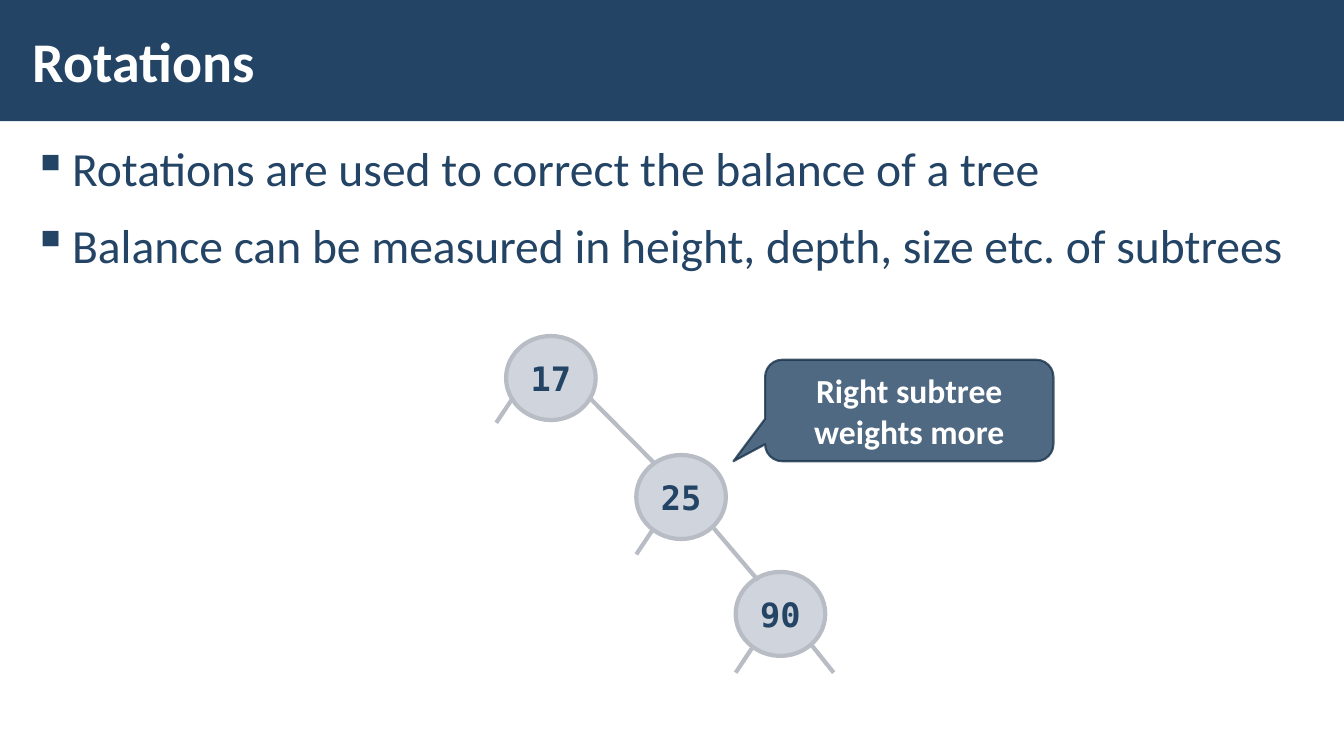
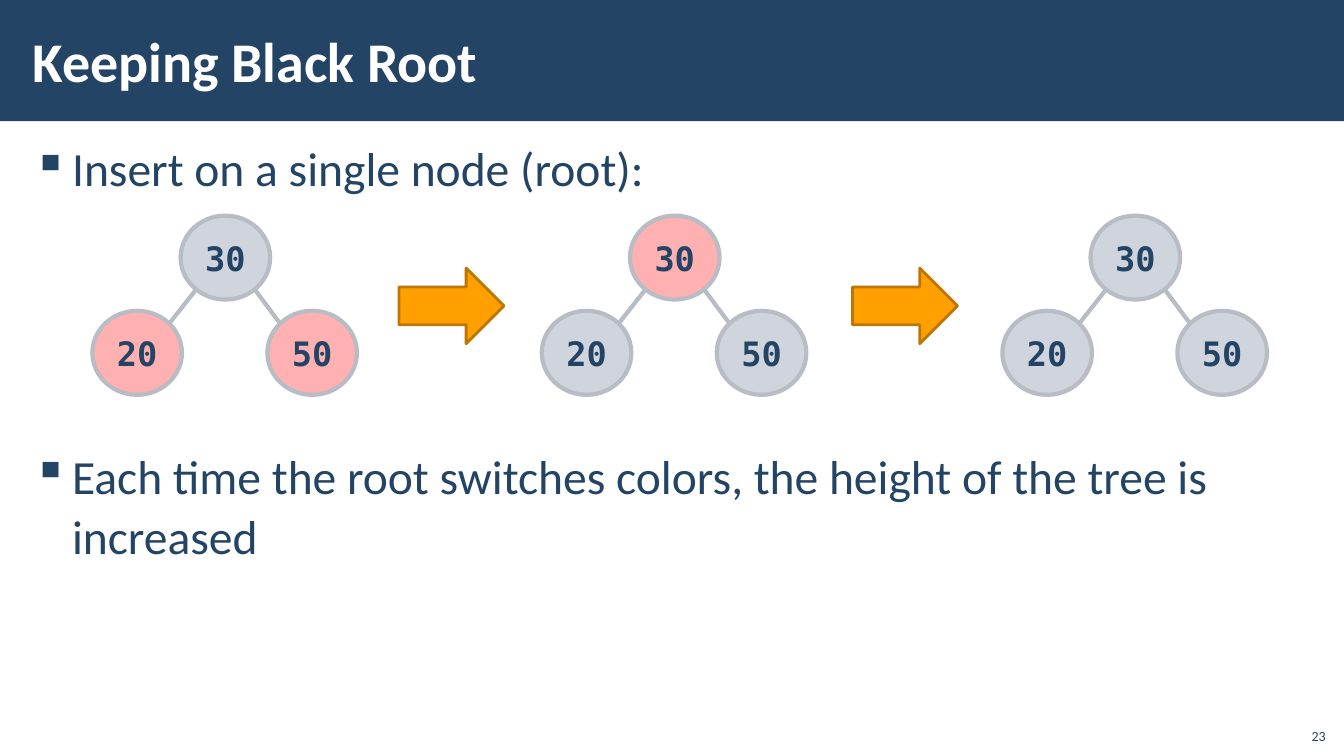
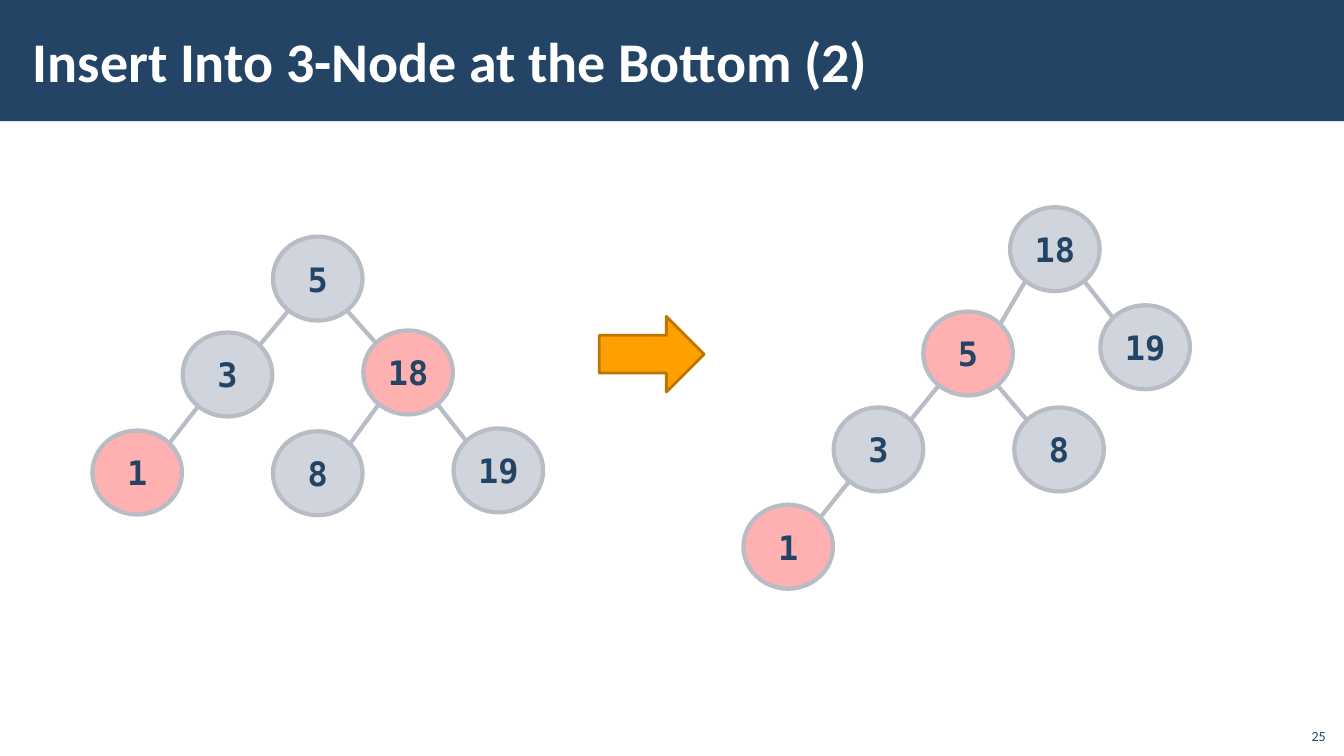
from lxml import etree
from pptx import Presentation
from pptx.dml.color import RGBColor
from pptx.enum.shapes import MSO_CONNECTOR, MSO_SHAPE
from pptx.enum.text import MSO_ANCHOR, PP_ALIGN
from pptx.oxml.ns import qn
from pptx.util import Pt

STRAIGHT = MSO_CONNECTOR.STRAIGHT
RECTANGLE = MSO_SHAPE.RECTANGLE
OVAL = MSO_SHAPE.OVAL
RIGHT_ARROW = MSO_SHAPE.RIGHT_ARROW
CALLOUT = MSO_SHAPE.ROUNDED_RECTANGULAR_CALLOUT
TOP, MIDDLE, BOTTOM = MSO_ANCHOR.TOP, MSO_ANCHOR.MIDDLE, MSO_ANCHOR.BOTTOM
LEFT, CENTER, RIGHT = PP_ALIGN.LEFT, PP_ALIGN.CENTER, PP_ALIGN.RIGHT

PAGE_WIDTH, PAGE_HEIGHT = 960, 540
NAVY, WHITE = "234465", "FFFFFF"
NODE_FILL, NODE_LINE, RED_FILL = "A3ABBC", "B8BCC4", "FFB0B0"
ARROW_FILL, ARROW_LINE = "FFA000", "BD7600"
CALLOUT_LINE = "1A334C"

TITLE_FONT = {"name": "Calibri", "size": Pt(40), "bold": True, "color": WHITE}
BODY_FONT = {"name": "Calibri", "size": Pt(34), "color": NAVY}
NUMBER_FONT = {"name": "Calibri", "size": Pt(10), "color": NAVY}
NODE_FONT = {"name": "DejaVu Sans Mono", "size": Pt(24), "bold": True, "color": NAVY}
CALLOUT_FONT = {"name": "Calibri", "size": Pt(24), "bold": True, "color": WHITE}

TITLE_BOX = (15, 8, 765, 70)
BODY_BOX = (15, 94.5, 930, 435.5)
NUMBER_BOX = (925, 512.5, 29, 23)
WIDE_INSETS = (8.5, 3)
BULLET_INDENT = 28

NODE_WIDTH, NODE_HEIGHT = 64, 60
ARROW_WIDTH, ARROW_HEIGHT = 75, 54
# Where an edge leaves its parent and meets its child, from the node centres
EDGE_START, EDGE_END = (21.5, 23.5), (23, -21)


def rgb(color):
    return RGBColor.from_string(color)


def set_alpha(color_format_parent, percent):
    """Make the solid colour under an XML element partly transparent."""
    color = color_format_parent.find(qn("a:solidFill")).find(qn("a:srgbClr"))
    etree.SubElement(color, qn("a:alpha"), val=str(percent * 1000))


def set_font(font, style):
    for key, value in style.items():
        if key == "color":
            font.color.rgb = rgb(value)
        else:
            setattr(font, key, value)


def set_frame(shape, anchor, wrap=True, insets=None):
    frame = shape.text_frame
    frame.vertical_anchor, frame.word_wrap = anchor, wrap
    if insets:
        frame.margin_left = frame.margin_right = Pt(insets[0])
        frame.margin_top = frame.margin_bottom = Pt(insets[1])
    return frame


def write(frame, text, style, align):
    para = frame.paragraphs[0]
    para.alignment = align
    span = para.add_run()
    span.text = text
    set_font(span.font, style)


def add_text(page, box, text, style, anchor, align, insets=None):
    shape = page.shapes.add_textbox(*map(Pt, box))
    write(set_frame(shape, anchor, insets=insets), text, style, align)


def add_figure(page, kind, box, fill, line=None, width=0, alpha=None):
    """Add a preset shape with a plain fill and outline and no shadow."""
    shape = page.shapes.add_shape(kind, *map(Pt, box))
    shape.shadow.inherit = False
    shape.fill.solid()
    shape.fill.fore_color.rgb = rgb(fill)
    if alpha:
        set_alpha(shape.element.spPr, alpha)
    if line:
        shape.line.color.rgb = rgb(line)
        shape.line.width = Pt(width)
    else:
        shape.line.fill.background()
    return shape


def add_page(deck, title, number=None):
    page = deck.slides.add_slide(deck.slide_layouts[6])
    add_figure(page, RECTANGLE, (0, 0, PAGE_WIDTH, 86.5), NAVY)
    add_text(page, TITLE_BOX, title, TITLE_FONT, MIDDLE, LEFT, WIDE_INSETS)
    if number:
        add_text(page, NUMBER_BOX, number, NUMBER_FONT, BOTTOM, RIGHT)
    return page


def add_bullets(page, box, texts, gap=6):
    """Write bulleted paragraphs with a gap before each one but the first."""
    frame = set_frame(page.shapes.add_textbox(*map(Pt, box)), TOP, insets=WIDE_INSETS)
    for index, text in enumerate(texts):
        para = frame.add_paragraph() if index else frame.paragraphs[0]
        properties = para._p.get_or_add_pPr()
        properties.set("marL", str(Pt(BULLET_INDENT)))
        properties.set("indent", str(-Pt(BULLET_INDENT)))
        etree.SubElement(properties, qn("a:buChar"), char="▪")
        para.line_spacing = 1.05
        para.space_before = Pt(gap if index else 0)
        para.space_after = Pt(6)
        set_font(para.font, BODY_FONT)
        span = para.add_run()
        span.text = text
        set_font(span.font, BODY_FONT)


def add_line(page, start, end):
    line = page.shapes.add_connector(STRAIGHT, *map(Pt, (*start, *end)))
    line.line.color.rgb = rgb(NODE_LINE)
    line.line.width = Pt(3)
    etree.SubElement(line.element.spPr, qn("a:effectLst"))


def add_node(page, left, top, label, red):
    node = add_figure(page, OVAL, (left, top, NODE_WIDTH, NODE_HEIGHT),
                      RED_FILL if red else NODE_FILL, NODE_LINE, 3,
                      None if red else 50)
    write(set_frame(node, MIDDLE, wrap=False), label, NODE_FONT, CENTER)


def shift(point, offset):
    return point[0] + offset[0], point[1] + offset[1]


def add_tree(page, origin, nodes, edges, reds=(), stubs=()):
    """Draw a tree at origin.

    nodes: label -> left, top; edges: parent, child and optional end offsets;
    stubs: node, start offset and run of a line that leads to no child.
    """
    places = {label: shift(origin, place) for label, place in nodes.items()}
    centers = {label: shift(place, (NODE_WIDTH / 2, NODE_HEIGHT / 2))
               for label, place in places.items()}
    for parent, child, *offsets in edges:
        side = 1 if centers[child][0] > centers[parent][0] else -1
        start, end = offsets or ((side * EDGE_START[0], EDGE_START[1]),
                                 (-side * EDGE_END[0], EDGE_END[1]))
        add_line(page, shift(centers[parent], start), shift(centers[child], end))
    for label, offset, run in stubs:
        start = shift(centers[label], offset)
        add_line(page, start, shift(start, run))
    for label, place in places.items():
        add_node(page, *place, label, label in reds)


def add_arrow(page, left, top):
    add_figure(page, RIGHT_ARROW, (left, top, ARROW_WIDTH, ARROW_HEIGHT),
               ARROW_FILL, ARROW_LINE, 2)


def add_callout(page, box, text):
    callout = add_figure(page, CALLOUT, box, NAVY, CALLOUT_LINE, 1.5, 80)
    set_alpha(callout.line._ln, 80)
    for index, value in enumerate((-0.61, 0.5, 0.17)):
        callout.adjustments[index] = value
    write(set_frame(callout, MIDDLE), text, CALLOUT_FONT, CENTER)


def build_rotations(deck):
    page = add_page(deck, "Rotations")
    add_bullets(page, BODY_BOX, [
        "Rotations are used to correct the balance of a tree",
        "Balance can be measured in height, depth, size etc. of subtrees",
    ])
    add_tree(
        page, (361.5, 240),
        {"17": (0, 0), "25": (93, 85), "90": (164, 168.5)},
        [("17", "25", (28.5, 15), (-18.5, -23.5)),
         ("25", "90", (23.5, 22.5), (-16, -24))],
        stubs=[("17", (-27, 14), (-12, 18)), ("25", (-20, 23), (-12, 18)),
               ("90", (-20, 24), (-12, 18)), ("90", (22, 22), (16, 20))],
    )
    add_callout(page, (546.5, 257, 206, 72.5), "Right subtree weights more")


def build_black_root(deck):
    page = add_page(deck, "Keeping Black Root", "23")
    add_bullets(page, BODY_BOX, [
        "Insert on a single node (root):",
        "Each time the root switches colors, the height of the tree is increased",
    ], gap=171)
    nodes = {"30": (63, 0), "20": (0, 68), "50": (125, 68)}
    edges = [("30", "20"), ("30", "50")]
    for left, reds in ((66, ("20", "50")), (387, ("30",)), (716, ())):
        add_tree(page, (left, 154), nodes, edges, reds)
    for left in (285, 609):
        add_arrow(page, left, 191.5)


def build_bottom_insert(deck):
    page = add_page(deck, "Insert Into 3-Node at the Bottom (2)", "25")
    add_tree(
        page, (66, 169),
        {"5": (129, 0), "3": (64.5, 68.5), "18": (193.5, 67),
         "1": (0, 138.5), "8": (129, 139), "19": (258, 137)},
        [("5", "3"), ("5", "18"), ("3", "1"), ("18", "8"), ("18", "19")],
        ("1", "18"),
    )
    add_arrow(page, 428, 226)
    add_tree(
        page, (531, 148),
        {"18": (190.5, 0), "5": (128.5, 74.5), "19": (255, 70),
         "3": (64.5, 143), "8": (193.5, 143), "1": (0, 212.5)},
        [("18", "5"), ("18", "19"), ("5", "3"), ("5", "8"), ("3", "1")],
        ("1", "5"),
    )


def main():
    deck = Presentation()
    deck.slide_width, deck.slide_height = Pt(PAGE_WIDTH), Pt(PAGE_HEIGHT)
    for build in (build_rotations, build_black_root, build_bottom_insert):
        build(deck)
    deck.save("out.pptx")


if __name__ == "__main__":
    main()
